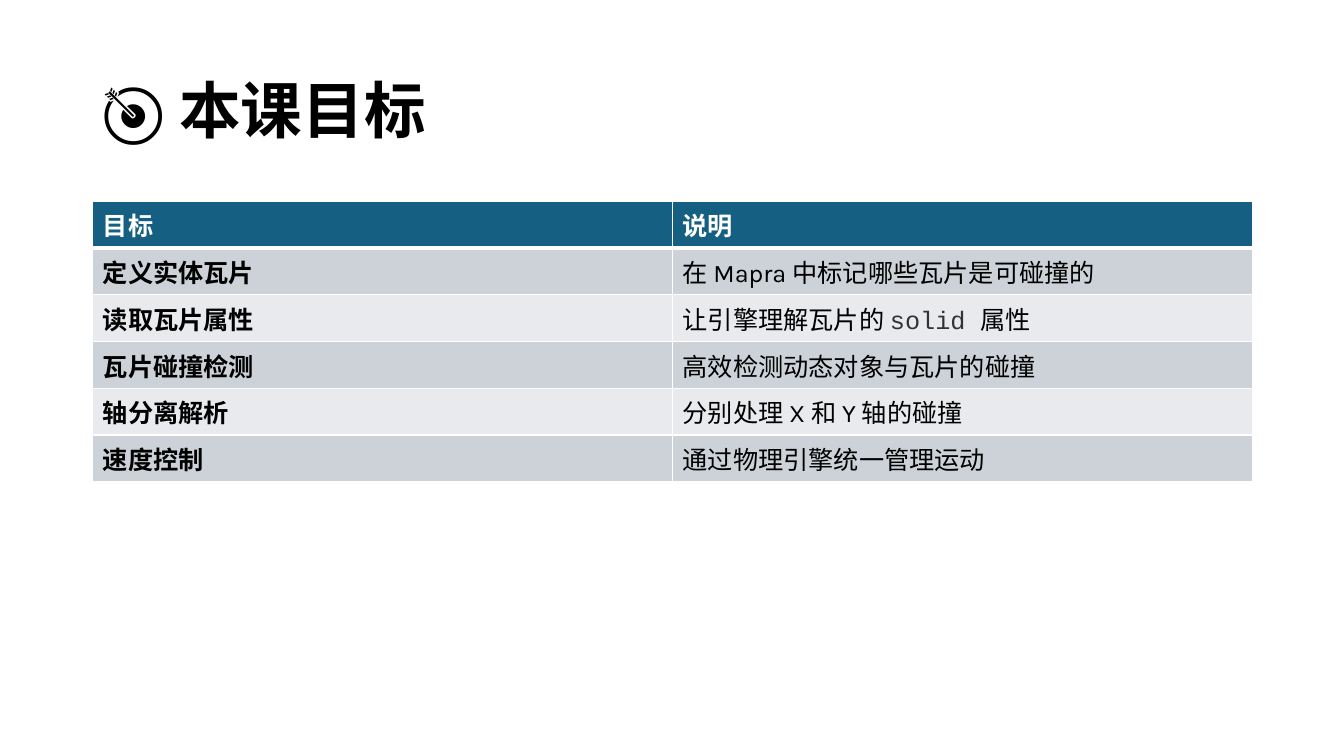
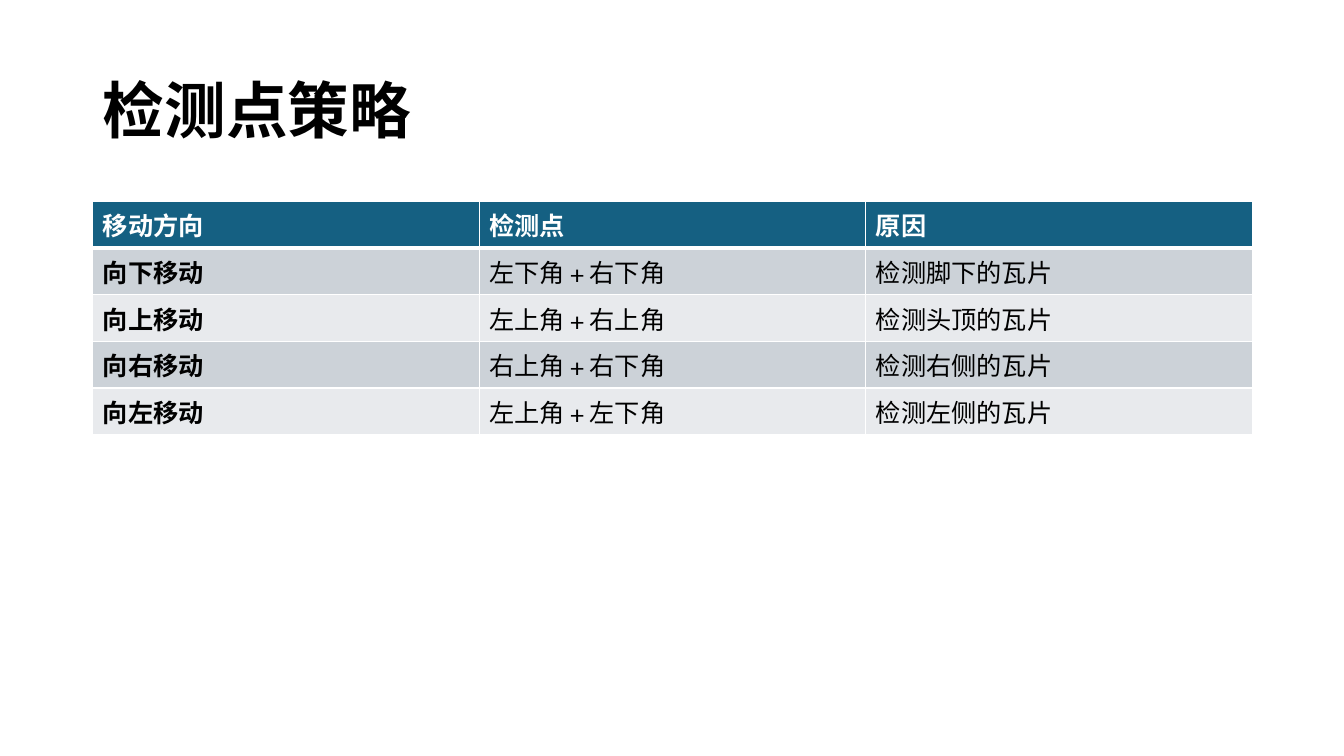
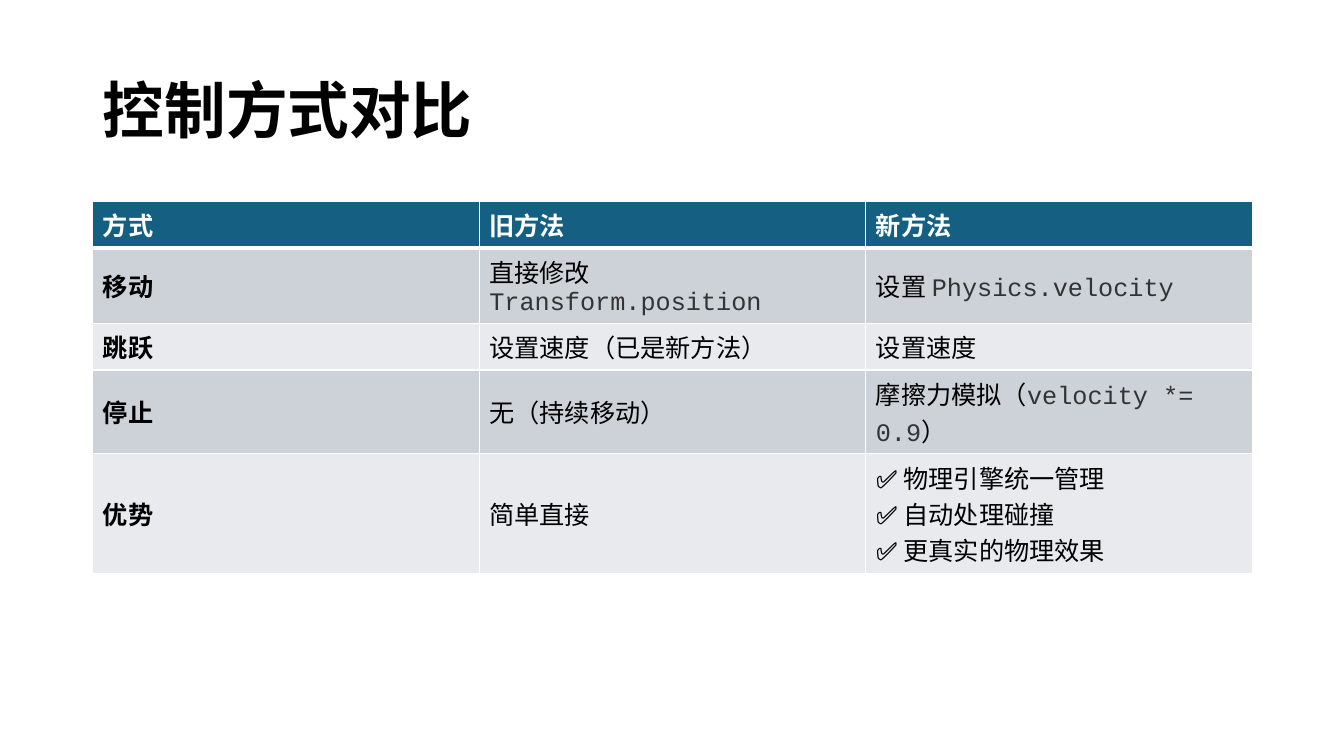
"""Builds three lesson slides, each a title above a banded table."""
import pptx
import pptx.dml.color
import pptx.enum.lang
import pptx.enum.text
import pptx.oxml
import pptx.oxml.ns
import pptx.util

COLORS = {"header": "156082", "odd": "CCD2D8", "even": "E8EAED",
          "white": "FFFFFF", "text": "000000", "code": "333333"}
FONT, CODE_FONT = "Karla", "Courier New"

SLIDES = [
    ("🎯 本课目标", [
        ["目标", "说明"],
        ["定义实体瓦片", "在 Mapra 中标记哪些瓦片是可碰撞的"],
        ["读取瓦片属性", "让引擎理解瓦片的 `solid `属性"],
        ["瓦片碰撞检测", "高效检测动态对象与瓦片的碰撞"],
        ["轴分离解析", "分别处理 X 和 Y 轴的碰撞"],
        ["速度控制", "通过物理引擎统一管理运动"],
    ]),
    ("检测点策略", [
        ["移动方向", "检测点", "原因"],
        ["向下移动", "左下角 + 右下角", "检测脚下的瓦片"],
        ["向上移动", "左上角 + 右上角", "检测头顶的瓦片"],
        ["向右移动", "右上角 + 右下角", "检测右侧的瓦片"],
        ["向左移动", "左上角 + 左下角", "检测左侧的瓦片"],
    ]),
    ("控制方式对比", [
        ["方式", "旧方法", "新方法"],
        ["移动", "直接修改 `Transform.position`", "设置 `Physics.velocity`"],
        ["跳跃", "设置速度（已是新方法）", "设置速度"],
        ["停止", "无（持续移动）", "摩擦力模拟（`velocity *= 0.9`）"],
        ["优势", "简单直接", "✅ 物理引擎统一管理\n✅ 自动处理碰撞\n✅ 更真实的物理效果"],
    ]),
]


def add_text(p, text, size, color, bold):
    """Add runs to a paragraph; parts between backticks are code."""
    for i, part in enumerate(text.split("`")):
        code = i % 2 == 1
        for j, line in enumerate(part.split("\n")):
            if j:
                p.add_line_break()
            if not line:
                continue
            r = p.add_run()
            r.text = line
            r.font.size = pptx.util.Pt(size)
            r.font.bold = bold
            r.font.name = CODE_FONT if code else FONT
            r.font.language_id = pptx.enum.lang.MSO_LANGUAGE_ID.SIMPLIFIED_CHINESE
            r.font.color.rgb = pptx.dml.color.RGBColor.from_string(
                COLORS["code" if code else color])


def add_border(cell, side, width):
    """Draw one white side of a cell, width in points."""
    cell._tc.get_or_add_tcPr().append(pptx.oxml.parse_xml(
        f'<a:ln{side} {pptx.oxml.ns.nsdecls("a")} w="{pptx.util.Pt(width)}">'
        f'<a:solidFill><a:srgbClr val="{COLORS["white"]}"/></a:solidFill></a:ln{side}>'))


prs = pptx.Presentation()
prs.slide_width, prs.slide_height = pptx.util.Inches(13.33), pptx.util.Inches(7.5)
left, width = pptx.util.Inches(0.92), pptx.util.Inches(11.5)
row_height = pptx.util.Inches(0.41)
middle = pptx.enum.text.MSO_ANCHOR.MIDDLE

for title, rows in SLIDES:
    s = prs.slides.add_slide(prs.slide_layouts[5])
    sp = s.shapes.title
    sp.left, sp.top = left, pptx.util.Inches(0.4)
    sp.width, sp.height = width, pptx.util.Inches(1.45)
    tf = sp.text_frame
    tf.auto_size = pptx.enum.text.MSO_AUTO_SIZE.NONE
    tf.vertical_anchor = middle
    p = tf.paragraphs[0]
    p.alignment = pptx.enum.text.PP_ALIGN.LEFT
    p.line_spacing = 0.9
    add_text(p, title, 44, "text", True)

    table = s.shapes.add_table(len(rows), len(rows[0]), left, pptx.util.Inches(2),
                               width, row_height * len(rows)).table
    for i, row in enumerate(rows):
        band = "header" if i == 0 else "odd" if i % 2 else "even"
        for j, text in enumerate(row):
            cell = table.cell(i, j)
            cell.vertical_anchor = middle
            for side, points in (("L", 1), ("R", 1), ("T", 3 if i == 1 else 1),
                                 ("B", 3 if i == 0 else 1)):
                add_border(cell, side, points)
            cell.fill.solid()
            cell.fill.fore_color.rgb = pptx.dml.color.RGBColor.from_string(COLORS[band])
            add_text(cell.text_frame.paragraphs[0], text, 18,
                     "white" if i == 0 else "text", i == 0 or j == 0)

prs.save("out.pptx")
